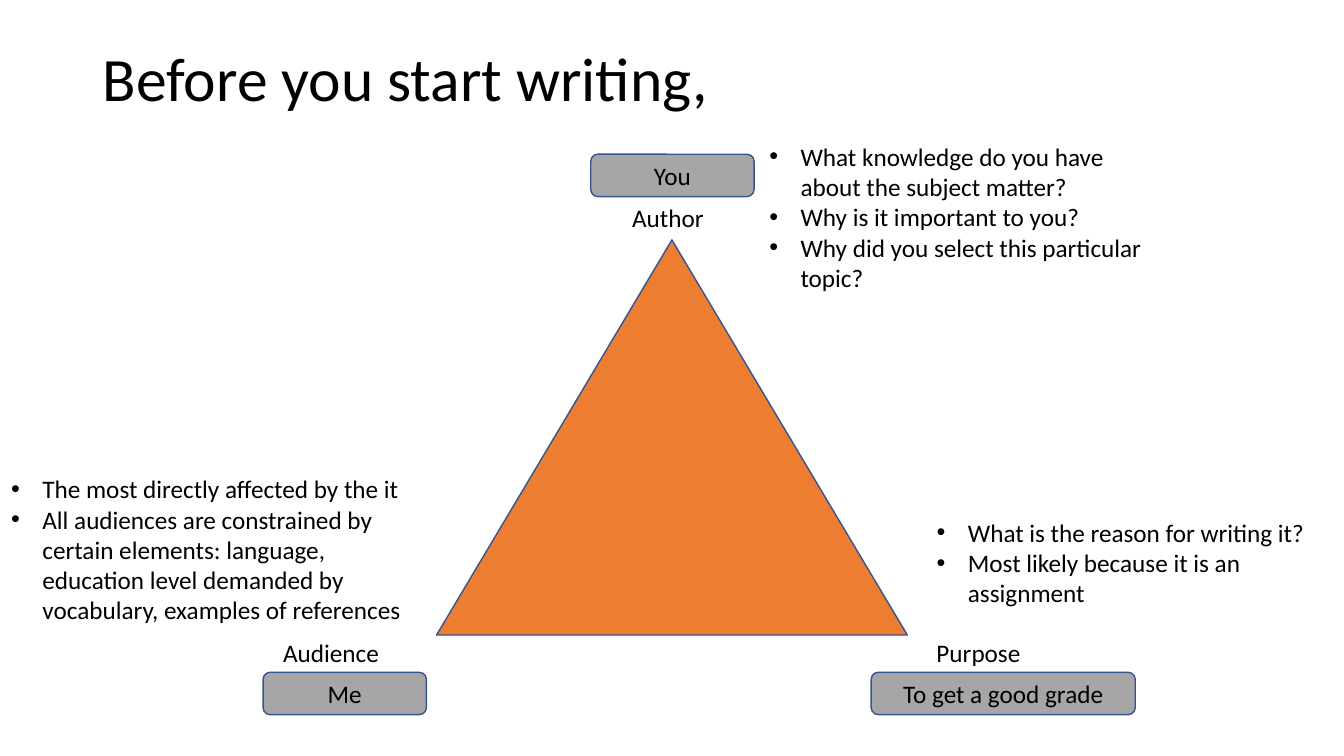
from pptx import Presentation
from pptx.dml.color import RGBColor
from pptx.enum.shapes import MSO_SHAPE as Shape
from pptx.enum.text import MSO_ANCHOR as Anchor, MSO_AUTO_SIZE as AutoSize, PP_ALIGN as Align
from pptx.oxml.ns import qn
from pptx.util import Inches, Pt
from lxml.etree import SubElement

BLACK = RGBColor(0x00, 0x00, 0x00)
ORANGE = RGBColor(0xED, 0x7D, 0x31)
GRAY = RGBColor(0xA6, 0xA6, 0xA6)
NAVY = RGBColor(0x32, 0x54, 0x91)

CORNERS = [
    {
        "role": "Author", "role_at": (46.29, 26.13),
        "answer": "You", "answer_at": (43.96, 20.4, 12.15),
        "points": ["What knowledge do you have about the subject matter?",
                   "Why is it important to you?",
                   "Why did you select this particular topic?"],
        "points_at": (56.49, 18, 30.68, 21.6),
    },
    {
        "role": "Audience", "role_at": (20.33, 83.6),
        "answer": "Me", "answer_at": (19.58, 88.93, 12.15),
        "points": ["The most directly affected by the it",
                   "All audiences are constrained by certain elements: language, "
                   "education level demanded by vocabulary, examples of references"],
        "points_at": (0.08, 62, 32.56, 21.6),
    },
    {
        "role": "Purpose", "role_at": (68.94, 83.6),
        "answer": "To get a good grade", "answer_at": (64.82, 88.93, 19.65),
        "points": ["What is the reason for writing it?",
                   "Most likely because it is an assignment"],
        "points_at": (68.94, 67.73, 32.56, 17.47),
    },
]


class TrianglePage:
    font_name = "Calibri"
    text_size = 18
    title_size = 44
    indent = Inches(0.31)

    def __init__(self, deck):
        self.deck = deck
        self.page = deck.slides.add_slide(deck.slide_layouts.get_by_name("Comparison"))
        self.bodies = [box for box in self.page.placeholders
                       if box != self.page.shapes.title]

    def place(self, left, top, width, height):
        across, down = self.deck.slide_width / 100, self.deck.slide_height / 100
        return (round(left * across), round(top * down),
                round(width * across), round(height * down))

    def move(self, box, area):
        box.left, box.top, box.width, box.height = self.place(*area)

    def set_text(self, box, text, size, align=Align.LEFT, anchor=Anchor.TOP):
        frame = box.text_frame
        frame.text = text
        frame.word_wrap = True
        frame.auto_size = AutoSize.NONE
        frame.vertical_anchor = anchor
        for para in frame.paragraphs:
            para.alignment = align
            para.space_before = Pt(0)
            for span in para.runs:
                span.font.name = self.font_name
                span.font.size = Pt(size)
                span.font.bold = False
                span.font.color.rgb = BLACK

    def title(self, text, area):
        box = self.page.shapes.title
        self.move(box, area)
        self.set_text(box, text, self.title_size, anchor=Anchor.MIDDLE)
        box.text_frame.paragraphs[0].line_spacing = 0.9

    def bullets(self, points, area):
        box = self.bodies.pop(0)
        self.move(box, area)
        self.set_text(box, "\n".join(points), self.text_size)
        for para in box.text_frame.paragraphs:
            properties = para._p.get_or_add_pPr()
            properties.set("marL", str(self.indent))
            properties.set("indent", str(-self.indent))
            SubElement(properties, qn("a:buFont"), typeface="Arial")
            SubElement(properties, qn("a:buChar"), char="•")

    def label(self, text, area):
        box = self.page.shapes.add_textbox(*self.place(*area))
        self.set_text(box, text, self.text_size)

    def shape(self, kind, area, color, text=""):
        box = self.page.shapes.add_shape(kind, *self.place(*area))
        box.shadow.inherit = False
        box.fill.solid()
        box.fill.fore_color.rgb = color
        box.line.color.rgb = NAVY
        box.line.width = Pt(1)
        if text:
            self.set_text(box, text, self.text_size, Align.CENTER, Anchor.MIDDLE)

    def drop_unused_bodies(self):
        for box in self.bodies:
            box.element.getparent().remove(box.element)


def main():
    deck = Presentation()
    deck.slide_width, deck.slide_height = Inches(13.33), Inches(7.5)
    page = TrianglePage(deck)
    page.title("Before you start writing,", (6.9, 1.07, 86.27, 19.33))
    page.shape(Shape.ISOSCELES_TRIANGLE, (32.48, 31.73, 35.03, 52.27), ORANGE)
    for corner in CORNERS:
        page.label(corner["role"], (*corner["role_at"], 11.48, 5.33))
        page.bullets(corner["points"], corner["points_at"])
        page.shape(Shape.ROUNDED_RECTANGLE, (*corner["answer_at"], 5.6), GRAY, corner["answer"])
    page.drop_unused_bodies()
    deck.save("out.pptx")


if __name__ == "__main__":
    main()
